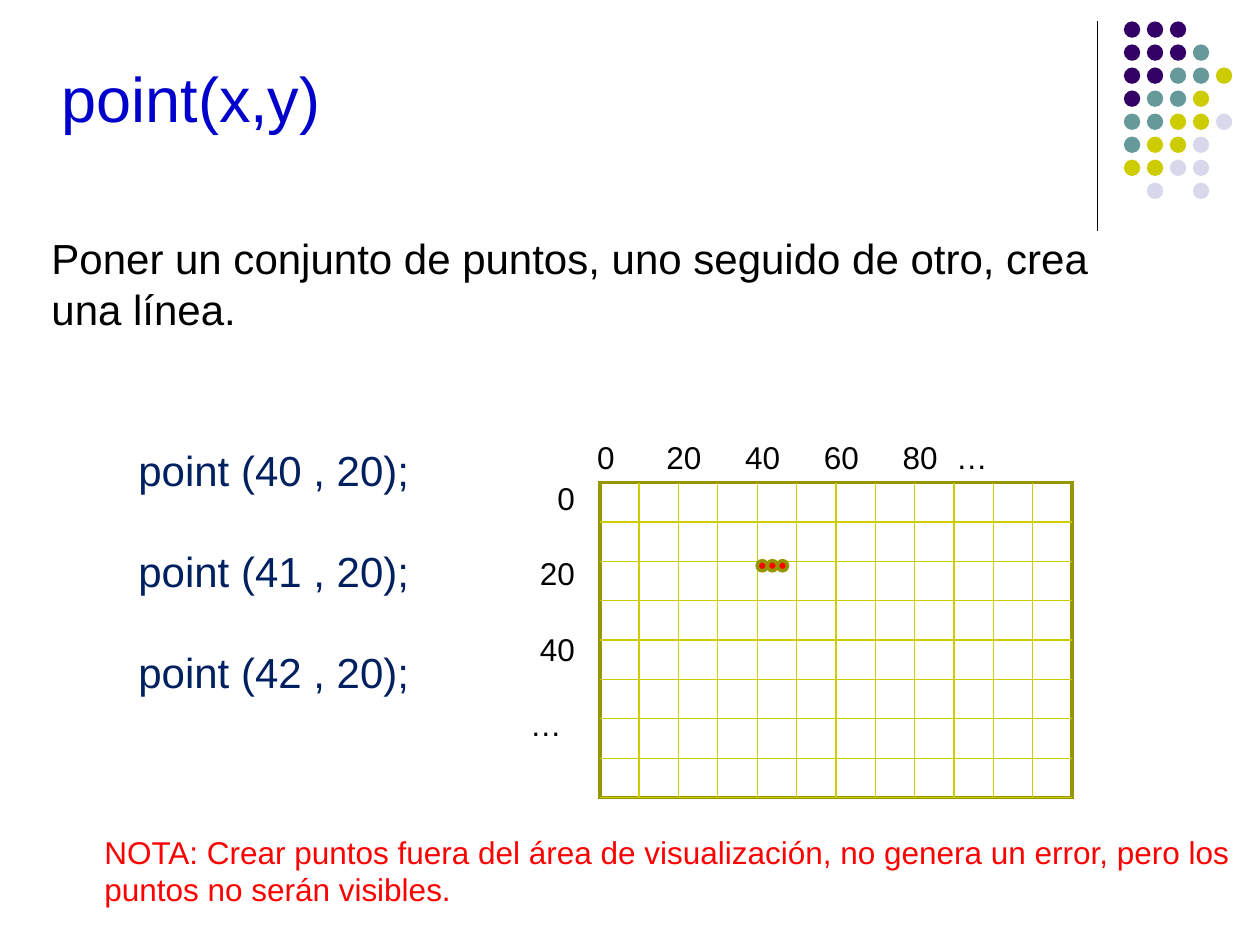
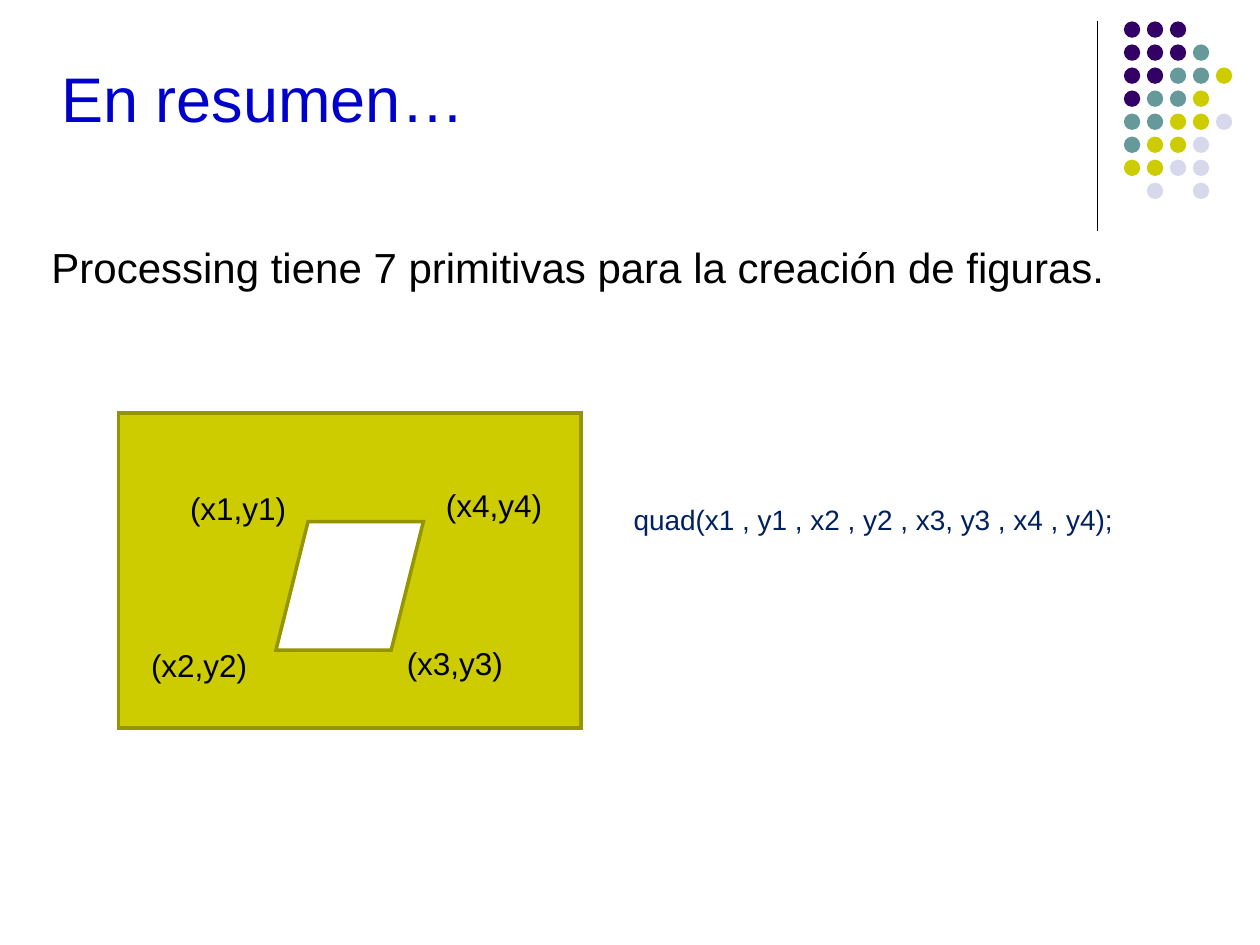
"""Builds two slides on drawing points and quads in Processing."""
from lxml import etree
from pptx import Presentation
from pptx import util as u
from pptx.dml import color
from pptx.enum import shapes, text
from pptx.oxml import ns

COLORS = {
    "title": "0000CC", "body": "000000", "code": "002060", "alert": "FF0000",
    "paper": "FFFFFF", "outline": "959500", "violet": "330066",
    "teal": "669999", "olive": "CCCC00", "lilac": "D8D8EC",
}
DOT_ROWS = ["VVV", "VVVT", "VVTTO", "VTTO", "TTOOL", "TOOL", "OOLL", " L L"]
DOT_COLORS = {"V": "violet", "T": "teal", "O": "olive", "L": "lilac"}


class Deck:
    """Holds the shared style and the current slide."""

    FONT = "Arial"
    LEADING = 1.2

    def __init__(self):
        self.prs = Presentation()
        self.prs.slide_width, self.prs.slide_height = u.Inches(10), u.Inches(7.5)
        self.slide = None

    def rgb(self, name):
        return color.RGBColor.from_string(COLORS[name])

    def new_slide(self, title):
        self.slide = self.prs.slides.add_slide(self.prs.slide_layouts[6])
        self.line(8.71, 0.17, 8.71, 1.83, "body")
        for row, marks in enumerate(DOT_ROWS):
            for col, mark in enumerate(marks):
                if mark in DOT_COLORS:
                    self.shape(shapes.MSO_SHAPE.OVAL, 8.92 + 0.73 * col / 4,
                               0.17 + 1.28 * row / 7, 0.13, 0.13, DOT_COLORS[mark])
        heading = self.text([title], 0.39, 0.23, 8.2, 1.08, 36, "title")
        heading.text_frame.vertical_anchor = text.MSO_ANCHOR.MIDDLE

    def line(self, x1, y1, x2, y2, stroke):
        rule = self.slide.shapes.add_connector(
            shapes.MSO_CONNECTOR.STRAIGHT, *map(u.Inches, (x1, y1, x2, y2)))
        rule.line.color.rgb = self.rgb(stroke)
        rule.line.width = u.Pt(0.75)
        etree.SubElement(rule._element.spPr, ns.qn("a:effectLst"))

    def shape(self, kind, x, y, w, h, fill, outline=None):
        figure = self.slide.shapes.add_shape(kind, *map(u.Inches, (x, y, w, h)))
        figure.shadow.inherit = False
        figure.fill.solid()
        figure.fill.fore_color.rgb = self.rgb(fill)
        if outline:
            figure.line.color.rgb = self.rgb(outline)
            figure.line.width = u.Pt(2)
            etree.SubElement(figure._element.spPr.find(ns.qn("a:ln")),
                             ns.qn("a:miter"), lim="800000")
        else:
            figure.line.fill.background()
        return figure

    def text(self, lines, x, y, w, h, size, ink="body", gap=0,
             align=text.PP_ALIGN.LEFT, fill=None):
        box = self.slide.shapes.add_textbox(*map(u.Inches, (x, y, w, h)))
        if fill:
            box.fill.solid()
            box.fill.fore_color.rgb = self.rgb(fill)
        frame = box.text_frame
        frame.word_wrap = True
        frame.text = "\n".join(lines)
        for paragraph in frame.paragraphs:
            paragraph.alignment = align
            paragraph.line_spacing = u.Pt(size * self.LEADING)
            paragraph.space_after = u.Pt(size * self.LEADING * gap)
            paragraph.font.name = self.FONT
            paragraph.font.size = u.Pt(size)
            paragraph.font.color.rgb = self.rgb(ink)
        return box

    def tabs(self, paragraph, stops):
        properties = paragraph._p.get_or_add_pPr()
        tab_list = etree.Element(ns.qn("a:tabLst"))
        for stop in stops:
            etree.SubElement(tab_list, ns.qn("a:tab"), pos=str(u.Inches(stop)), algn="l")
        properties.find(ns.qn("a:defRPr")).addprevious(tab_list)

    def grid(self, x, y, columns, rows, cell):
        right, bottom = x + columns * cell, y + rows * cell
        self.shape(shapes.MSO_SHAPE.RECTANGLE, x, y, right - x, bottom - y,
                   "paper", "outline")
        for column in range(1, columns):
            self.line(x + column * cell, y, x + column * cell, bottom, "olive")
        for row in range(1, rows + 1):
            self.line(x, y + row * cell, right, y + row * cell, "olive")

    def save(self):
        self.prs.save("out.pptx")


def point_slide(deck):
    deck.new_slide("point(x,y)")
    deck.text(["Poner un conjunto de puntos, uno seguido de otro, crea una línea."],
              0.31, 1.8, 8.98, 0.9, 24)
    cell = 3.75 / 12
    x_axis = deck.text(["0\t20\t40\t60\t80\t…"], 4.64, 3.43, 3.6, 0.4, 18)
    deck.tabs(x_axis.text_frame.paragraphs[0],
              [0.55 + 2 * cell * step for step in range(4)] + [2.85])
    deck.grid(4.76, 3.83, 12, 8, cell)
    y_axis = deck.text(["0", "20", "40", "…"], 4.11, 3.75, 0.55, 2.5, 18,
                       gap=1, align=text.PP_ALIGN.RIGHT)
    y_axis.text_frame.paragraphs[-1].alignment = text.PP_ALIGN.LEFT
    deck.text([f"point ({x} , 20);" for x in (40, 41, 42)],
              1, 3.48, 2.5, 2.5, 24, "code", gap=1)
    for step in (2, 1, 0):
        deck.shape(shapes.MSO_SHAPE.FLOWCHART_CONNECTOR, 6.01 + 0.08 * step, 4.45,
                   0.08, 0.08, "alert", "outline")
    deck.text(["NOTA: Crear puntos fuera del área de visualización, no genera un error, pero los",
               "puntos no serán visibles."],
              0.73, 6.56, 9.2, 0.7, 18, "alert", fill="paper")


def summary_slide(deck):
    deck.new_slide("En resumen…")
    deck.text(["Processing tiene 7 primitivas para la creación de figuras."],
              0.31, 1.87, 8.98, 0.5, 24)
    deck.text(["quad(x1 , y1 , x2 , y2 , x3, y3 , x4 , y4);"],
              4.93, 3.94, 4.68, 0.4, 16, "code")
    deck.shape(shapes.MSO_SHAPE.RECTANGLE, 0.94, 3.28, 3.67, 2.5, "olive", "outline")
    corners = [(1.41, 3.83), (1.1, 5.08), (3.13, 5.06), (3.44, 3.81)]
    for number, (x, y) in enumerate(corners, 1):
        deck.text([f"(x{number},y{number})"], x, y, 1.05, 0.4, 18)
    quad = deck.shape(shapes.MSO_SHAPE.PARALLELOGRAM, 2.19, 4.14, 1.17, 1.02,
                      "paper", "outline")
    quad.adjustments[0] = 0.25


def main():
    deck = Deck()
    point_slide(deck)
    summary_slide(deck)
    deck.save()


if __name__ == "__main__":
    main()
